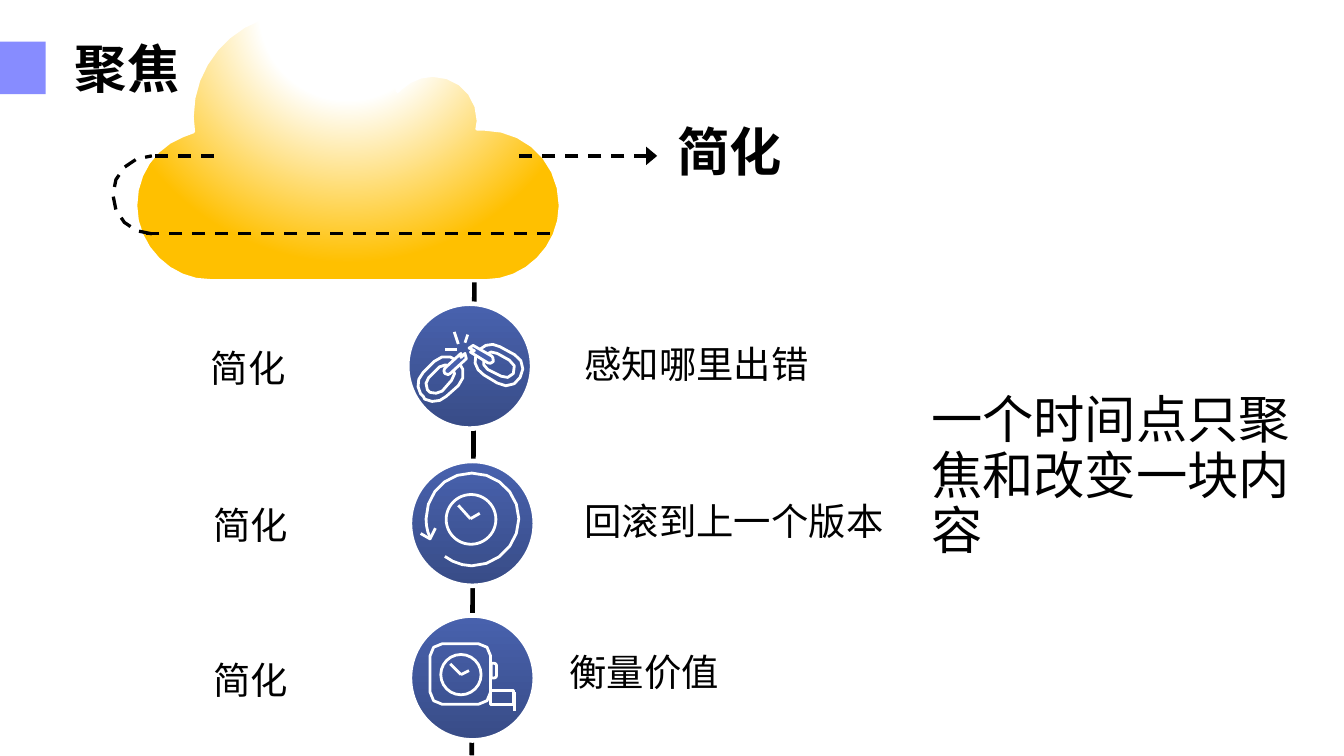
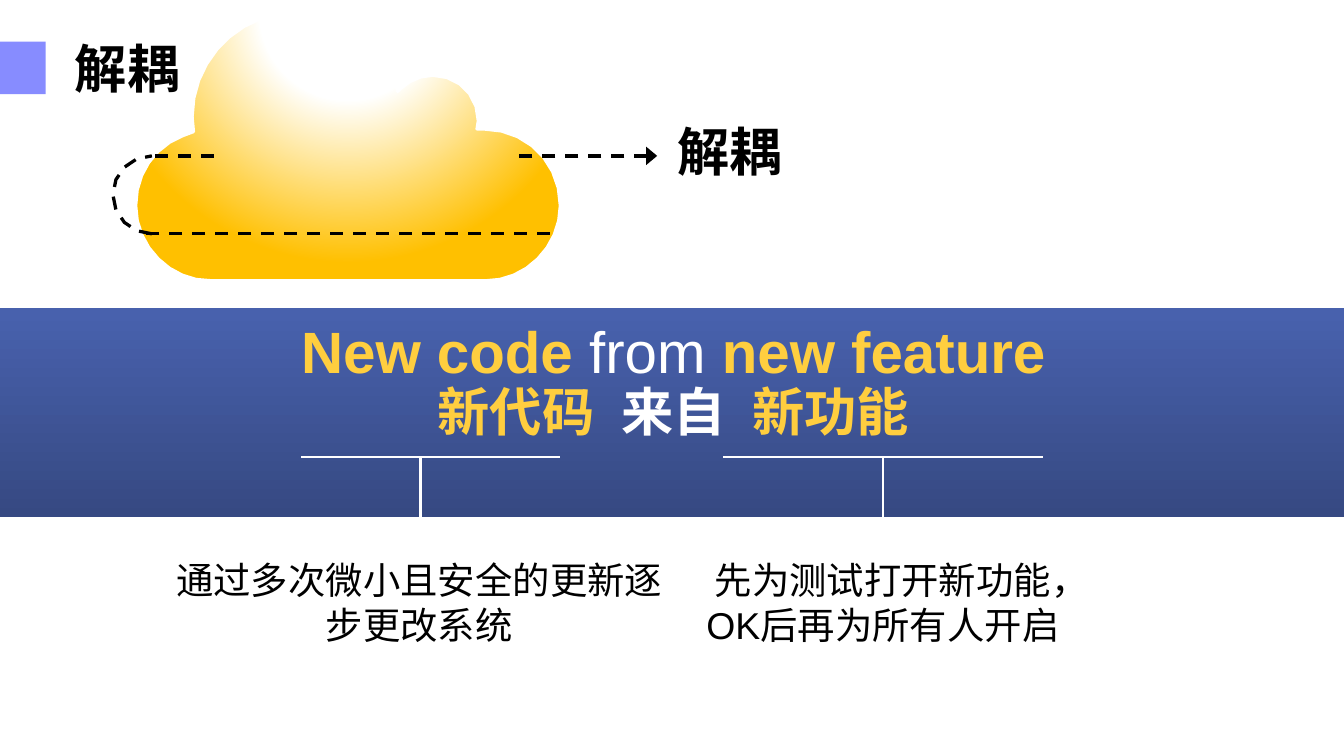
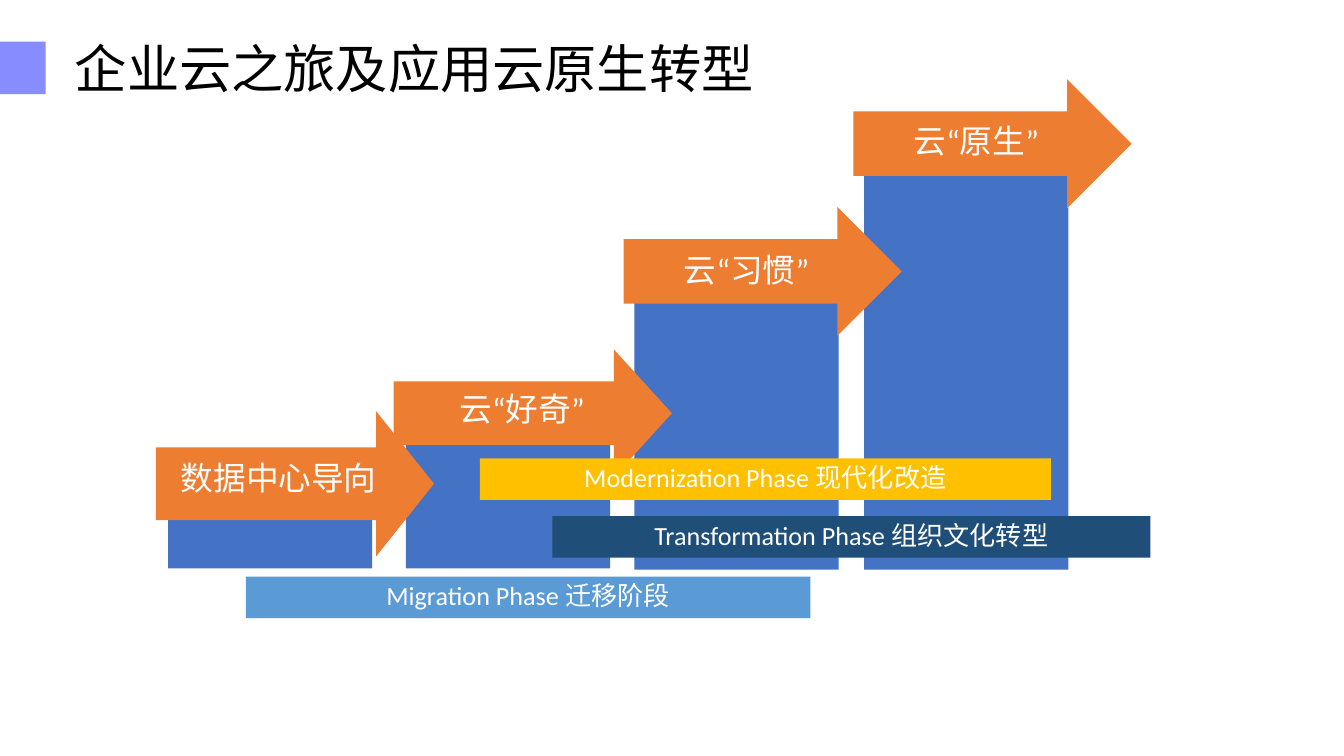
from math import dist
from lxml.etree import SubElement
from pptx import Presentation
from pptx.dml.color import RGBColor
from pptx.enum.dml import MSO_LINE as Dash
from pptx.enum.shapes import MSO_CONNECTOR as Link, MSO_SHAPE as Kind
from pptx.enum.text import MSO_ANCHOR as Anchor, PP_ALIGN as Align
from pptx.oxml import parse_xml
from pptx.oxml.ns import nsdecls, qn
from pptx.util import Pt

PX = 9144
CJK = "Noto Sans CJK SC"
HUES = {
    "ink": "000000", "white": "FFFFFF", "mark": "878CFF", "sun": "FFC000",
    "gold": "FFCE3F", "royal": "4861AD", "navy": "384C87", "deep": "364982",
    "bar": "4472C4", "arrow": "ED7D31", "sky": "5B9BD5", "night": "1F4E79",
}
CLOUD = (
    "M 221 9,C 253 9 281 29 293 57,L 296 68 298 66,C 304 60 313 56 322 56,"
    "C 341 56 356 71 356 90,L 355 96 360 96,C 392 96 417 121 417 153,"
    "C 417 180 397 203 372 208,L 361 209 158 209 146 208,"
    "C 121 203 101 180 101 153,C 101 129 115 109 136 101,L 144 98 143 87,"
    "C 143 44 178 9 221 9,Z"
)
LOOP = "M 113 174,C 97 174 84 161 84 145,C 84 129 97 116 113 116"
CHAINS = (
    ("M 370 263,C 367 261 364 262 361 264,L 360 267,C 359 270 360 273 363 275,"
     "L 373 280,C 376 282 380 281 382 278,C 384 274 383 270 379 268,Z,"
     "M 372 258,L 383 264,C 389 267 391 275 387 281,C 384 287 376 289 370 285,"
     "L 360 279,C 355 276 352 270 354 265,L 355 262 357 260,"
     "C 361 256 367 255 372 258,Z", None),
    ("M 352 257,L 366 265,C 367 266 367 267 367 269,C 366 270 364 271 363 270,"
     "L 350 262 353 261 349 259,Z", "royal"),
    ("M 319 281,C 317 283 316 287 318 290,L 320 292,C 323 293 326 293 329 291,"
     "L 336 283,C 339 280 339 276 336 273,C 334 271 329 271 327 273,Z,"
     "M 315 277,L 323 269,C 328 264 336 264 341 269,C 346 274 346 282 341 287,"
     "L 332 295,C 328 299 321 300 316 297,L 315 295 313 293,"
     "C 310 288 310 282 315 277,Z", None),
    ("M 331 274,L 343 263 343 266 346 263 347 267 335 278,"
     "C 334 279 333 279 331 278,C 330 277 330 275 331 274,Z", "royal"),
)
SWEEP = (
    "M 331 414,C 336 418 344 421 351 421,C 370 421 386 405 386 386,"
    "C 386 367 370 352 351 352,C 332 352 317 367 317 386,C 317 391 318 396 320 400"
)
HOOK = "M 324 393,L 320 401 313 397"
CASE = (
    "M 329 479,L 356 479,C 361 479 365 483 365 488,L 365 515,"
    "C 365 520 361 524 356 524,L 329 524,"
    "C 324 524 320 520 320 515,L 320 488,C 320 483 324 479 329 479,Z"
)


def px(*sizes):
    """Turn px lengths into EMU."""
    return [int(size) * PX for size in sizes]


def hue(name):
    """Give a named colour."""
    return RGBColor.from_string(HUES[name])


def paint(shape, fill=None, line=None, width=1.5, dash=False):
    """Set the fill and outline of a shape."""
    shape.shadow.inherit = False
    if fill:
        shape.fill.solid()
        shape.fill.fore_color.rgb = hue(fill)
    else:
        shape.fill.background()
    if line:
        stroke(shape.line, line, width, dash)
    else:
        shape.line.fill.background()
    return shape


def stroke(line, tint, width, dash):
    """Set colour, width and dash of a line."""
    line.color.rgb = hue(tint)
    line.width = Pt(width)
    if dash:
        line.dash_style = Dash.DASH


def blend(shape, stops, ring=False):
    """Fill a shape with a gradient running down or out of a ring."""
    marks = "".join(
        f'<a:gs pos="{spot * 1000}"><a:srgbClr val="{HUES[name]}"/></a:gs>'
        for spot, name in stops)
    way = ('<a:path path="circle"><a:fillToRect l="50000" t="-80000" r="50000" b="180000"/></a:path>'
           if ring else '<a:lin ang="5400000" scaled="0"/>')
    frame = shape._element.spPr
    frame.replace(frame.find(qn("a:noFill")), parse_xml(
        f'<a:gradFill {nsdecls("a")} rotWithShape="1"><a:gsLst>{marks}</a:gsLst>{way}</a:gradFill>'))


def block(page, box, kind=Kind.RECTANGLE, **look):
    """Add a preset shape."""
    return paint(page.shapes.add_shape(kind, *px(*box)), **look)


def rule(page, *ends, tint="white", width=1.5, dash=False, head=False):
    """Add a straight line, with an arrowhead at its start if asked."""
    line = page.shapes.add_connector(Link.STRAIGHT, *px(*ends))
    stroke(line.line, tint, width, dash)
    frame = line._element.spPr
    if head:
        SubElement(frame.find(qn("a:ln")), qn("a:headEnd"), type="triangle", w="lg")
    SubElement(frame, qn("a:effectLst"))


def bend(knots):
    """Sample a cubic curve, more finely when it is long."""
    steps = 2 + int(dist(knots[0], knots[-1]) / PX / 14)
    for step in range(1, steps + 1):
        t = step / steps
        parts = ((1 - t) ** 3, 3 * t * (1 - t) ** 2, 3 * t * t * (1 - t), t ** 3)
        yield tuple(sum(p * k[axis] for p, k in zip(parts, knots)) for axis in (0, 1))


def trace(page, route, **look):
    """Draw a freeform from move, line, curve and close steps."""
    pen = None
    for step in route.split(","):
        verb, *nums = step.split()
        dots = list(zip(px(*nums[::2]), px(*nums[1::2])))
        if verb == "M" and pen is None:
            pen = page.shapes.build_freeform(*dots[0], scale=1.0)
        elif verb == "M":
            pen.move_to(*dots[0])
        else:
            path = bend([last, *dots]) if verb == "C" else dots
            pen.add_line_segments(list(path), close=verb == "Z")
        last = dots[-1] if dots else last
    return paint(pen.convert_to_shape(), **look)


def write(shape, *lines, size=20, face="Arial", east=CJK, tint="ink", bold=False,
          align=Align.LEFT, lead=None, anchor=Anchor.TOP, wrap=True, inset=(10, 5)):
    """Fill a shape with lines, each a string or a list of (text, changes)."""
    body = shape.text_frame
    body.word_wrap = wrap
    body.vertical_anchor = anchor
    body.margin_left = body.margin_right = px(inset[0])[0]
    body.margin_top = body.margin_bottom = px(inset[1])[0]
    base = {"size": size, "face": face, "east": east, "tint": tint, "bold": bold, "gap": 0}
    for at, line in enumerate(lines):
        para = body.add_paragraph() if at else body.paragraphs[0]
        para.alignment = align
        if lead:
            para.line_spacing = lead
        for words, change in [(line, {})] if isinstance(line, str) else line:
            form = {**base, **change}
            run = para.add_run()
            run.text = words
            run.font.size = Pt(form["size"])
            run.font.bold = form["bold"]
            run.font.color.rgb = hue(form["tint"])
            run.font.name = form["face"]
            traits = run._r.get_or_add_rPr()
            SubElement(traits, qn("a:ea"), typeface=form["east"])
            if form["gap"]:
                traits.set("spc", str(form["gap"] * 100))


def note(page, box, *lines, **form):
    """Add a text box."""
    write(page.shapes.add_textbox(*px(*box)), *lines, **form)


def start(deck, title, bold=True):
    """Add a slide with its title and side mark."""
    page = deck.slides.add_slide(deck.slide_layouts[6])
    note(page, (46, 22, 754, 57), title, size=28, face=CJK, bold=bold)
    block(page, (0, 31, 34, 39), fill="mark")
    return page


def cloud(page, name):
    """Draw the cloud, its dashed loop and the name it points to."""
    note(page, (494, 89, 408, 97), name, size=28, face=CJK, bold=True, lead=0.9)
    puff = trace(page, CLOUD, line="white", width=1.75)
    blend(puff, [(0, "white"), (35, "white"), (100, "sun")], ring=True)
    look = {"width": 1.75, "dash": True}
    rule(page, 409, 174, 108, 174, tint="ink", **look)
    rule(page, 489, 116, 383, 116, tint="ink", head=True, **look)
    trace(page, LOOP, line="ink", **look)
    rule(page, 159, 116, 108, 116, tint="ink", **look)


def clock(page, left, top, size):
    """Draw a clock face with two hands."""
    block(page, (left, top, size, size), Kind.OVAL, line="white")
    x, y = left + size // 2, top + size // 2
    for across, down in ((-0.25, -0.27), (0.19, -0.1)):
        rule(page, x, y, x + round(size * across), y + round(size * down))


def icons(page):
    """Draw the broken chain, the turned-back clock and the tape measure."""
    for route, fill in CHAINS:
        trace(page, route, fill=fill, line="white")
    for ray in ((341, 256, 338, 247), (346, 255, 348, 249), (340, 260, 331, 260)):
        rule(page, *ray)
    for route in (SWEEP, HOOK, CASE):
        trace(page, route, line="white")
    clock(page, 332, 368, 37)
    clock(page, 328, 487, 30)
    block(page, (365, 514, 17, 10), line="white")
    rule(page, 383, 515, 383, 529)
    knob = block(page, (362, 497, 11, 4), Kind.ROUND_2_SAME_RECTANGLE, line="white")
    knob.adjustments[0] = 0.5
    knob.rotation = 90


def focus(deck):
    """Build the slide on focus."""
    page = start(deck, "聚焦")
    rule(page, 353, 209, 351, 562, tint="ink", width=2.5)
    cloud(page, "简化")
    rows = (
        ("感知哪里出错", (425, 249, 296, 46), (303, 226), (147, 252)),
        ("回滚到上一个版本", (425, 366, 280, 77), (305, 343), (149, 369)),
        ("衡量价值", (414, 478, 250, 77), (305, 458), (149, 484)),
    )
    for words, box, disc, tag in rows:
        note(page, box, words)
        note(page, (*tag, 76, 44), "简化", wrap=False)
        ball = block(page, (*disc, 93, 93), Kind.OVAL, line="white", width=2.5)
        blend(ball, [(2, "royal"), (100, "navy")])
    icons(page)
    note(page, (683, 288, 303, 135), "一个时间点只聚焦和改变一块内容",
         size=27.5, face=CJK, lead=0.9, anchor=Anchor.MIDDLE)


def split(deck):
    """Build the slide on decoupling."""
    page = start(deck, "解耦")
    cloud(page, "解耦")
    band = block(page, (0, 229, 1000, 156))
    blend(band, [(2, "royal"), (100, "deep")])
    small = {"size": 28}
    white = {"tint": "white"}
    space = (" ", {**small, "gap": 8})
    note(page, (74, 239, 854, 92),
         [("New code ", {}), ("from ", {**white, "bold": False}), ("new feature", {})],
         [("新代码", small), space, ("来自", {**small, **white}), space, ("新功能", small)],
         size=31.2, tint="gold", bold=True, align=Align.CENTER, lead=0.9,
         anchor=Anchor.MIDDLE)
    parts = (
        ("通过多次微小且安全的更新逐步更改系统", (120, 410, 384, 107), 224, 417, 313),
        ("先为测试打开新功能，OK后再为所有人开启", (510, 410, 294, 107), 538, 776, 657),
    )
    for words, box, left, right, stem in parts:
        note(page, box, words, align=Align.CENTER)
        rule(page, left, 340, right, 340)
        rule(page, stem, 340, stem, 385)


def trip(deck):
    """Build the slide on the way to the cloud."""
    page = start(deck, "企业云之旅及应用云原生转型", bold=False)
    look = {"face": "Calibri", "east": "Calibri", "tint": "white",
            "align": Align.CENTER, "lead": 0.9}
    steps = (
        ("云“原生”", (643, 101, 152, 323), (635, 59, 207, 96), 0.5, (628, 83)),
        ("云“习惯”", (472, 221, 152, 203), (464, 154, 207, 96), 0.5, (457, 179)),
        ("云“好奇”", (302, 328, 152, 95), (293, 260, 207, 95), 0.455, (290, 283)),
        ("数据中心导向", (125, 386, 152, 37), (116, 306, 207, 108), 0.399, (109, 334)),
    )
    for words, base, top, tip, spot in steps:
        block(page, base, fill="bar")
        arrow = block(page, top, Kind.RIGHT_ARROW, fill="arrow")
        arrow.adjustments[1] = tip
        note(page, (*spot, 197, 47), words, size=17.5, inset=(12, 10), **look)
    phases = (
        ("Migration Phase ", "迁移阶段", (183, 429, 420, 31), "sky"),
        ("Modernization Phase ", "现代化改造", (357, 341, 425, 31), "sun"),
        ("Transformation Phase ", "组织文化转型", (411, 384, 445, 31), "night"),
    )
    for name, local, box, fill in phases:
        write(block(page, box, fill=fill),
              [(name, {}), (local, {"face": CJK, "east": CJK})],
              size=14, anchor=Anchor.MIDDLE, **look)


def main():
    """Build and save the deck."""
    deck = Presentation()
    deck.slide_width = px(1000)[0]
    deck.slide_height = deck.slide_width * 9 // 16
    for build in (focus, split, trip):
        build(deck)
    deck.save("out.pptx")


if __name__ == "__main__":
    main()
